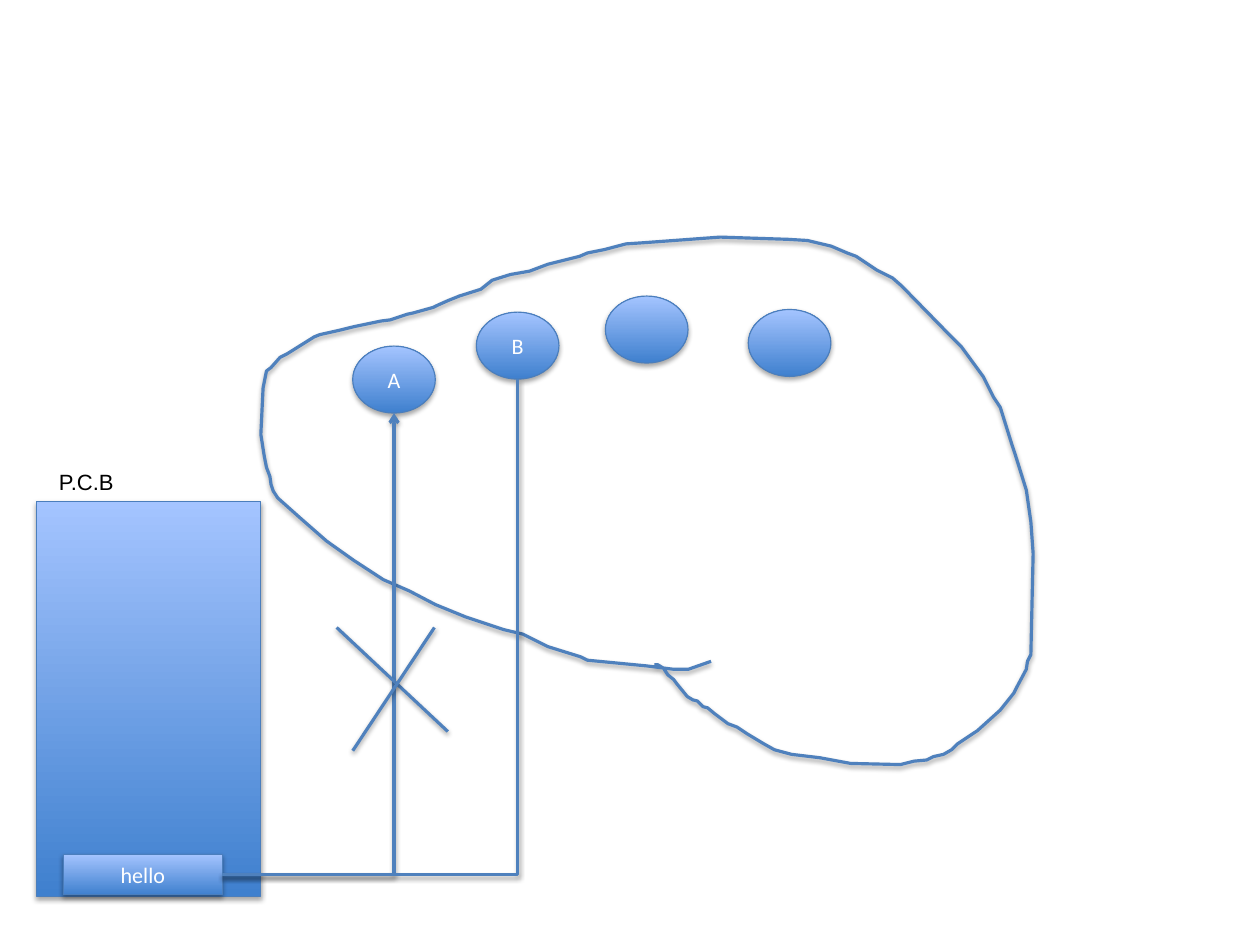
from lxml.etree import SubElement
from pptx import Presentation
from pptx.dml.color import RGBColor
from pptx.enum.shapes import MSO_CONNECTOR as LINK, MSO_SHAPE as SHAPE
from pptx.enum.text import MSO_ANCHOR, PP_ALIGN
from pptx.oxml.ns import qn
from pptx.util import Cm, Pt

DARK = RGBColor(0x3F, 0x80, 0xCE)
LIGHT = RGBColor(0xA4, 0xC4, 0xFF)
EDGE = RGBColor(0x4B, 0x7E, 0xBC)
STROKE = RGBColor(0x4F, 0x81, 0xBD)
WHITE = RGBColor(0xFF, 0xFF, 0xFF)
BLACK = RGBColor(0, 0, 0)

# Lengths in cm: left, top, width, height
NODE_SIZE = (1.85, 1.5)
NODES = [("A", 7.9, 7.75), ("B", 10.67, 6.99), ("", 13.56, 6.63), ("", 16.76, 6.93)]
BOARD = (0.81, 11.23, 5.03, 8.84)
LABEL = ("P.C.B", 1.07, 10.36, 4.78, 0.86)
HELLO = ("hello", 1.42, 19.13, 3.56, 0.91)
CROSS = [(7.54, 14.05, 10.03, 16.38), (9.73, 14.05, 7.9, 16.81)]

# Hand-drawn outline, in units of 0.0254 cm
OUTLINE_UNIT = Cm(0.0254)
OUTLINE = [
    (627, 583), (607, 590), (594, 590), (570, 587), (518, 582), (512, 579),
    (483, 570), (461, 559), (444, 555), (411, 544), (384, 533), (361, 521),
    (338, 511), (312, 494), (288, 477), (264, 456), (245, 439), (241, 433),
    (239, 427), (238, 420), (235, 412), (233, 402), (230, 383), (232, 342),
    (235, 327), (239, 324), (247, 315), (253, 312), (277, 297), (282, 295),
    (300, 291), (312, 288), (336, 283), (344, 282), (359, 277), (364, 276),
    (382, 271), (386, 269), (395, 265), (405, 261), (424, 255), (434, 247),
    (450, 242), (467, 239), (483, 233), (495, 230), (511, 226), (518, 223),
    (533, 220), (552, 215), (567, 214), (635, 209), (695, 211), (712, 212),
    (733, 217), (747, 223), (755, 226), (761, 230), (773, 238), (787, 245),
    (795, 252), (839, 297), (848, 306), (867, 332), (876, 350), (882, 359),
    (892, 391), (895, 400), (905, 432), (909, 460), (911, 488), (909, 577),
    (906, 583), (905, 590), (897, 605), (894, 611), (882, 626), (862, 644),
    (844, 656), (839, 661), (832, 665), (823, 667), (817, 670), (806, 671),
    (794, 674), (750, 673), (723, 668), (698, 665), (683, 661), (674, 656),
    (659, 647), (650, 641), (642, 638), (630, 629), (624, 624), (620, 623),
    (615, 618), (611, 617), (606, 614), (597, 603), (594, 599), (589, 595),
    (585, 589), (580, 586), (577, 586),
]


def add_shadow(s, distance, opacity):
    """Give a shape or connector a soft shadow below; call after its line is set."""
    effects = SubElement(s._element.spPr, qn("a:effectLst"))
    shadow = SubElement(effects, qn("a:outerShdw"), blurRad="40000",
                        dist=str(distance), dir="5400000", rotWithShape="0")
    color = SubElement(shadow, qn("a:srgbClr"), val="000000")
    SubElement(color, qn("a:alpha"), val=str(opacity * 1000))


def set_stroke(s):
    s.line.color.rgb = STROKE
    s.line.width = Pt(2)


def add_outline(shapes):
    builder = shapes.build_freeform(*OUTLINE[0], scale=OUTLINE_UNIT)
    builder.add_line_segments(OUTLINE[1:], close=False)
    s = builder.convert_to_shape()
    s.fill.background()
    set_stroke(s)
    add_shadow(s, 20000, 38)


def set_text(s, text, font, color):
    p = s.text_frame.paragraphs[0]
    p.text = text
    p.font.name, p.font.size, p.font.color.rgb = font, Pt(14), color
    return p


def add_block(shapes, kind, text, box):
    s = shapes.add_shape(kind, *map(Cm, box))
    s.fill.gradient()
    s.fill.gradient_angle = 90
    for stop, color in zip(s.fill.gradient_stops, (DARK, LIGHT)):
        stop.color.rgb = color
    s.line.color.rgb = EDGE
    s.line.width = Pt(0.75)
    add_shadow(s, 23000, 35)
    if text:
        s.text_frame.vertical_anchor = MSO_ANCHOR.MIDDLE
        set_text(s, text, "Calibri", WHITE).alignment = PP_ALIGN.CENTER
    return s


def add_link(shapes, kind, ends, arrow=False):
    c = shapes.add_connector(kind, *ends)
    if kind == LINK.ELBOW:
        c._element.spPr.find(qn("a:prstGeom")).set("prst", "bentConnector2")
    set_stroke(c)
    if arrow:
        SubElement(c.line._get_or_add_ln(), qn("a:tailEnd"), type="arrow")
    add_shadow(c, 20000, 38)


def main():
    prs = Presentation()
    prs.slide_width, prs.slide_height = Cm(28.22), Cm(21.16)
    shapes = prs.slides.add_slide(prs.slide_layouts[6]).shapes

    add_outline(shapes)
    nodes = [add_block(shapes, SHAPE.OVAL, text, (x, y, *NODE_SIZE))
             for text, x, y in NODES]
    add_block(shapes, SHAPE.RECTANGLE, "", BOARD)

    text, *box = LABEL
    label = shapes.add_textbox(*map(Cm, box))
    label.text_frame.word_wrap = True
    set_text(label, text, "Arial", BLACK)

    text, *box = HELLO
    hello = add_block(shapes, SHAPE.RECTANGLE, text, box)

    start = (hello.left + hello.width, hello.top + hello.height // 2)
    for node, arrow in zip(nodes, (True, False)):
        end = (node.left + node.width // 2, node.top + node.height)
        add_link(shapes, LINK.ELBOW, start + end, arrow)
    for ends in CROSS:
        add_link(shapes, LINK.STRAIGHT, map(Cm, ends))

    prs.save("out.pptx")


if __name__ == "__main__":
    main()
